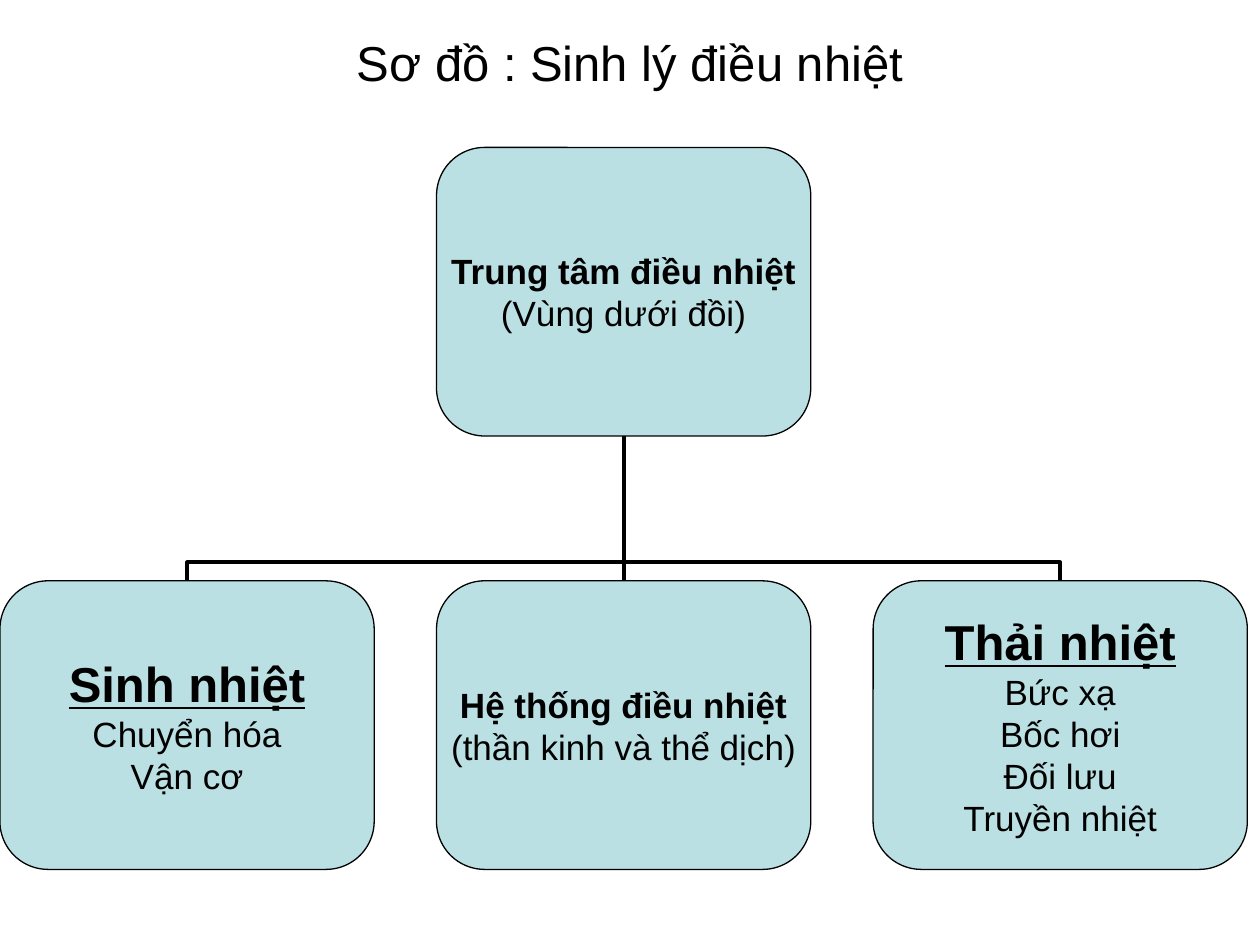
import pptx
import pptx.util
import pptx.dml.color
import pptx.enum.shapes
import pptx.enum.text
import pptx.oxml
import pptx.oxml.ns
from pptx.util import Inches

BLACK = "000000"
NODE_W, NODE_H = 2.97, 2.29
BEND = 12700  # share of the way from child to root, in 1/100000

TITLE = dict(size=pptx.util.Pt(28))
BOLD = dict(size=pptx.util.Pt(20), bold=True)
HEADING = dict(size=pptx.util.Pt(28), bold=True, underline=True)
BODY = dict(size=pptx.util.Pt(20), bold=False)

ROOT = [("Trung tâm điều nhiệt", BOLD), ("(Vùng dưới đồi)", BODY)]
CHILDREN = [
    [("Sinh nhiệt", HEADING), ("Chuyển hóa", BODY), ("Vận cơ", BODY)],
    [("Hệ thống điều nhiệt", BOLD), ("(thần kinh và thể dịch)", BODY)],
    [("Thải nhiệt", HEADING), ("Bức xạ", BODY), ("Bốc hơi", BODY),
     ("Đối lưu", BODY), ("Truyền nhiệt", BODY)],
]


def color(value):
    return pptx.dml.color.RGBColor.from_string(value)


def write(sp, lines, anchor, wrap):
    tf = sp.text_frame
    tf.word_wrap = wrap
    tf.vertical_anchor = anchor
    for side in ("left", "top", "right", "bottom"):
        setattr(tf, f"margin_{side}", 0)
    for i, (text, style) in enumerate(lines):
        p = tf.add_paragraph() if i else tf.paragraphs[0]
        p.alignment = pptx.enum.text.PP_ALIGN.CENTER
        r = p.add_run()
        r.text = text
        for name, value in dict(name="Arial", **style).items():
            setattr(r.font, name, value)
        r.font.color.rgb = color(BLACK)


def add_title(s, left, top, width, height):
    sp = s.shapes.add_textbox(Inches(left), Inches(top), Inches(width), Inches(height))
    write(sp, [("Sơ đồ : Sinh lý điều nhiệt", TITLE)],
          pptx.enum.text.MSO_ANCHOR.TOP, True)


def add_node(s, left, top, lines):
    sp = s.shapes.add_shape(pptx.enum.shapes.MSO_SHAPE.ROUNDED_RECTANGLE,
                            Inches(left), Inches(top), Inches(NODE_W), Inches(NODE_H))
    sp.shadow.inherit = False
    sp.fill.solid()
    sp.fill.fore_color.rgb = color("BBE0E3")
    sp.line.color.rgb = color(BLACK)
    sp.line.width = pptx.util.Pt(0.75)
    write(sp, lines, pptx.enum.text.MSO_ANCHOR.MIDDLE, False)
    return sp


def turn_elbow(c, to_right):
    """Turn an elbow so that it leaves the child upwards and bends near it."""
    left, top, width, height = c.left, c.top, c.width, c.height
    c.left, c.top = left + (width - height) // 2, top + (height - width) // 2
    c.width, c.height = height, width
    xfrm = c._element.spPr.find(pptx.oxml.ns.qn("a:xfrm"))
    xfrm.set("rot", str((90 if to_right else 270) * 60000))
    xfrm.set("flipH", "1" if to_right else "0")
    xfrm.set("flipV", "1")
    guides = c._element.spPr.find(pptx.oxml.ns.qn("a:prstGeom")).get_or_add_avLst()
    guide = pptx.oxml.parse_xml(
        f'<a:gd {pptx.oxml.ns.nsdecls("a")} name="adj1" fmla="val {BEND}"/>')
    guides.append(guide)


def join(s, child, root):
    kinds = pptx.enum.shapes.MSO_CONNECTOR
    offset = root.left - child.left
    c = s.shapes.add_connector(kinds.ELBOW if offset else kinds.STRAIGHT, 0, 0, 0, 0)
    c.begin_connect(child, 0)
    c.end_connect(root, 2)
    if offset:
        turn_elbow(c, offset > 0)
    c.line.color.rgb = color(BLACK)
    c.line.width = pptx.util.Pt(2.25)
    c._element.spPr.append(
        pptx.oxml.parse_xml(f'<a:effectLst {pptx.oxml.ns.nsdecls("a")}/>'))


def add_tree(s, left, top, width, height):
    """Root centred at the top, children spread evenly along the bottom."""
    root = add_node(s, left + (width - NODE_W) / 2, top, ROOT)
    step = (width - NODE_W) / (len(CHILDREN) - 1)
    for i, lines in enumerate(CHILDREN):
        child = add_node(s, left + i * step, top + height - NODE_H, lines)
        join(s, child, root)


def main():
    prs = pptx.Presentation()
    prs.slide_width, prs.slide_height = Inches(10), Inches(7.5)
    s = prs.slides.add_slide(prs.slide_layouts[6])
    add_title(s, 0.5, 0.26, 9, 0.5)
    add_tree(s, 0, 1.17, 9.9, 5.73)
    prs.save("out.pptx")


if __name__ == "__main__":
    main()
